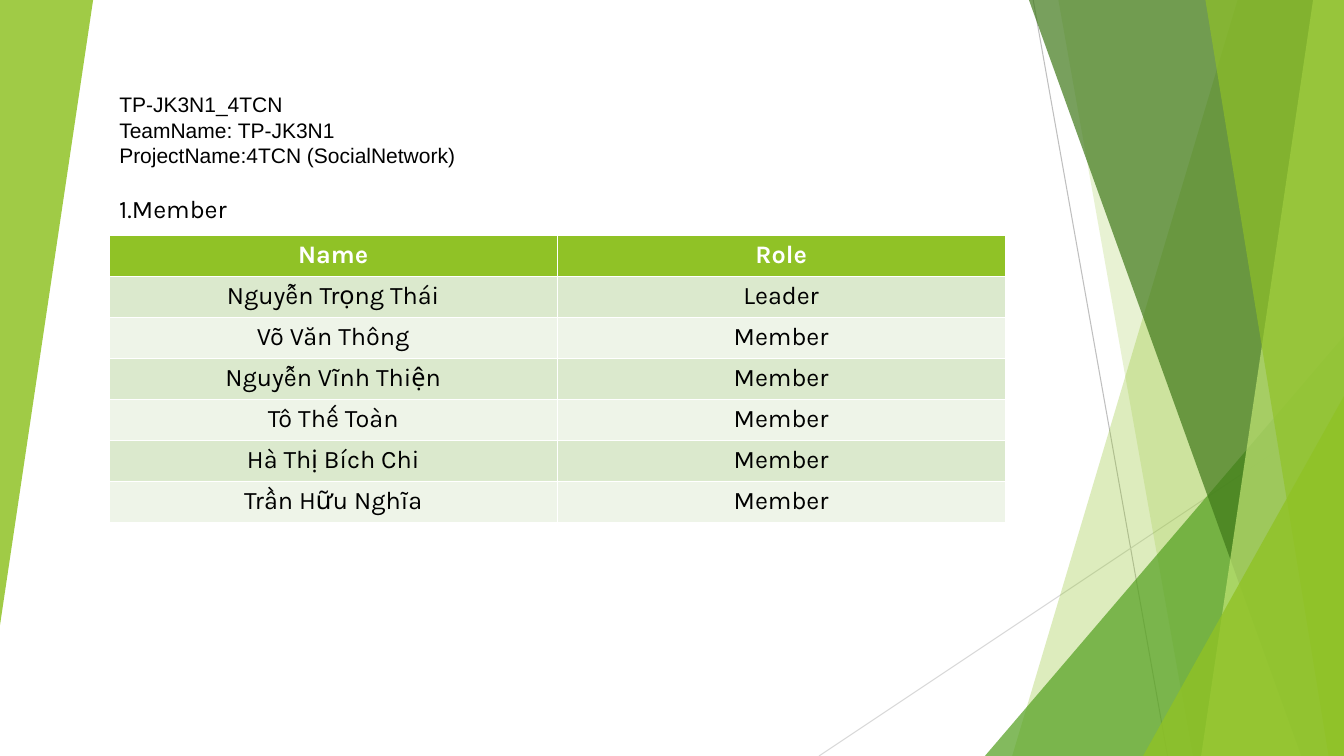
from lxml import etree
from pptx import Presentation
from pptx.dml.color import RGBColor
from pptx.enum.shapes import MSO_CONNECTOR as Connector, MSO_SHAPE as Shape
from pptx.enum.text import MSO_ANCHOR as Anchor, MSO_AUTO_SIZE as AutoSize, PP_ALIGN as Align
from pptx.oxml.ns import qn
from pptx.util import Pt

LIME = RGBColor(0x90, 0xC2, 0x26)
GREEN = RGBColor(0x54, 0xA0, 0x21)
FOREST = RGBColor(0x3F, 0x78, 0x19)
PALE_LIME = RGBColor(0xC0, 0xE4, 0x74)
GREY = RGBColor(0xBF, 0xBF, 0xBF)
LIGHT_GREY = RGBColor(0xD9, 0xD9, 0xD9)
BAND_DARK = RGBColor(0xDB, 0xE9, 0xCD)
BAND_LIGHT = RGBColor(0xEE, 0xF4, 0xE8)
WHITE = RGBColor(0xFF, 0xFF, 0xFF)
BLACK = RGBColor(0, 0, 0)

TEAM_LINES = [["TP-JK3N1_4TCN", "TeamName: TP-JK3N1"], ["ProjectName:4TCN (SocialNetwork)"]]
MEMBERS = [
    ("Name", "Role"),
    ("Nguyễn Trọng Thái", "Leader"),
    ("Võ Văn Thông", "Member"),
    ("Nguyễn Vĩnh Thiện", "Member"),
    ("Tô Thế Toàn", "Member"),
    ("Hà Thị Bích Chi", "Member"),
    ("Trần Hữu Nghĩa", "Member"),
]

# Slabs run to the right edge: kind, top x, bottom x. Triangles: kind, left, top.
FACETS = [
    ("slab", 299, 138, LIME, 30),
    ("slab", 171, 267, LIME, 20),
    ("triangle", 118.5, 240, GREEN, 72),
    ("slab", 150, 344.5, FOREST, 70),
    ("slab", 353, 273, PALE_LIME, 70),
    ("slab", 276, 364, LIME, 65),
    ("triangle", 231.5, 283, LIME, 80),
]


def paint(shape, color, opacity):
    shape.shadow.inherit = False
    shape.line.fill.background()
    shape.fill.solid()
    shape.fill.fore_color.rgb = color
    color_element = shape.fill._xPr.find(qn("a:solidFill"))[0]
    etree.SubElement(color_element, qn("a:alpha"), val=str(opacity * 1000))


def add_triangle(slide, box, color, opacity):
    triangle = slide.shapes.add_shape(Shape.ISOSCELES_TRIANGLE, *map(Pt, box))
    triangle.adjustments[0] = 1
    paint(triangle, color, opacity)
    return triangle


def add_hairline(slide, start, end, color):
    line = slide.shapes.add_connector(Connector.STRAIGHT, *map(Pt, start + end))
    line.line.color.rgb = color
    line.line.width = Pt(0.75)
    etree.SubElement(line._element.spPr, qn("a:effectLst"))


def add_right_facets(slide, box):
    left, top, width, height = box
    right, bottom = left + width, top + height
    add_hairline(slide, (left + 153, top), (left + 249, bottom), GREY)
    add_hairline(slide, (right, top + 290), (left, bottom), LIGHT_GREY)
    for kind, first, second, color, opacity in FACETS:
        if kind == "triangle":
            triangle_box = (left + first, top + second, width - first, height - second)
            add_triangle(slide, triangle_box, color, opacity)
        else:
            builder = slide.shapes.build_freeform(Pt(left + first), Pt(top))
            corners = [(right, top), (right, bottom), (left + second, bottom)]
            builder.add_line_segments([(Pt(x), Pt(y)) for x, y in corners])
            paint(builder.convert_to_shape(), color, opacity)


def add_left_wedge(slide, box):
    add_triangle(slide, box, LIME, 85).rotation = 180


def add_text_run(paragraph, text, font_name, size, color=BLACK, bold=False):
    run = paragraph.add_run()
    run.text = text
    run.font.name = font_name
    run.font.size = Pt(size)
    run.font.color.rgb = color
    run.font.bold = bold


def add_team_title(slide, box):
    title = slide.shapes.title
    title.left, title.top, title.width, title.height = map(Pt, box)
    frame = title.text_frame
    frame.word_wrap = True
    frame.auto_size = AutoSize.NONE
    frame.vertical_anchor = Anchor.TOP
    for index, lines in enumerate(TEAM_LINES):
        paragraph = frame.add_paragraph() if index else frame.paragraphs[0]
        paragraph.alignment = Align.LEFT
        for number, line in enumerate(lines):
            if number:
                paragraph.add_line_break()
            add_text_run(paragraph, line, "Arial", 15)


def add_section_label(slide, box):
    frame = slide.shapes.add_textbox(*map(Pt, box)).text_frame
    frame.word_wrap = True
    add_text_run(frame.paragraphs[0], "1.Member", "Karla", 18)


def add_member_table(slide, box):
    # The default table style supplies the white cell borders
    table = slide.shapes.add_table(len(MEMBERS), len(MEMBERS[0]), *map(Pt, box)).table
    for row_index, texts in enumerate(MEMBERS):
        is_header = row_index == 0
        band = BAND_DARK if row_index % 2 else BAND_LIGHT
        for column_index, text in enumerate(texts):
            cell = table.cell(row_index, column_index)
            cell.fill.solid()
            cell.fill.fore_color.rgb = LIME if is_header else band
            paragraph = cell.text_frame.paragraphs[0]
            paragraph.alignment = Align.CENTER
            add_text_run(paragraph, text, "Karla", 18, WHITE if is_header else BLACK, is_header)


def main():
    presentation = Presentation()
    presentation.slide_width, presentation.slide_height = Pt(960), Pt(540)
    slide = presentation.slides.add_slide(presentation.slide_layouts.get_by_name("Title Only"))

    # Background decoration
    add_right_facets(slide, (585, 0, 375, 540))
    add_left_wedge(slide, (0, 0, 66.5, 446.5))

    # Team details and members
    add_team_title(slide, (78, 62, 392, 62))
    add_section_label(slide, (78, 134.5, 101.5, 29))
    add_member_table(slide, (78, 168, 640, 205))

    presentation.save("out.pptx")


if __name__ == "__main__":
    main()
